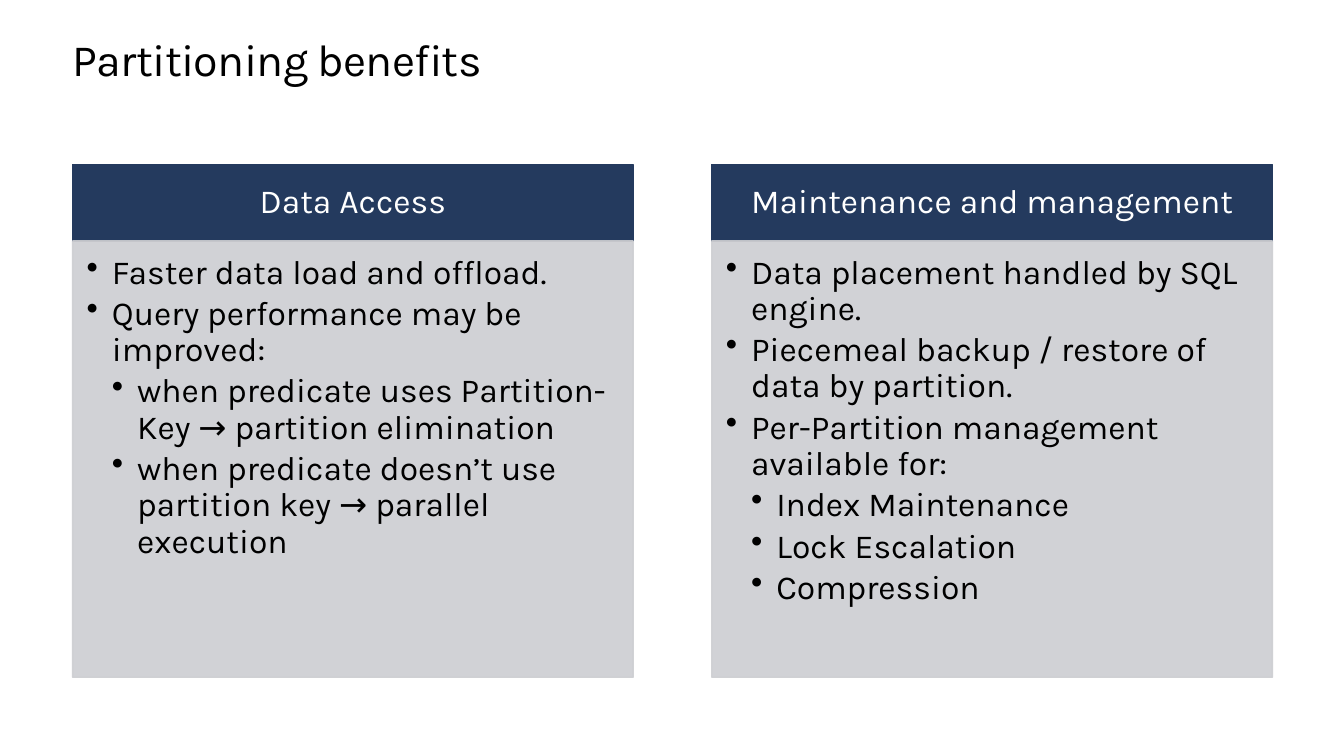
from dataclasses import dataclass

from lxml import etree
from pptx import Presentation
from pptx.dml.color import RGBColor
from pptx.enum.shapes import MSO_SHAPE
from pptx.enum.text import MSO_ANCHOR, MSO_AUTO_SIZE, PP_ALIGN
from pptx.oxml.ns import qn
from pptx.util import Inches, Pt

RECT = MSO_SHAPE.RECTANGLE
TOP, MIDDLE = MSO_ANCHOR.TOP, MSO_ANCHOR.MIDDLE
LEFT, CENTER = PP_ALIGN.LEFT, PP_ALIGN.CENTER
FIT_SHAPE = MSO_AUTO_SIZE.SHAPE_TO_FIT_TEXT

FONT = "Karla"
BLACK, WHITE, NAVY, GREY = "000000", "FFFFFF", "243A5E", "CDCED2"
MARGIN, COLUMN_W, COLUMN_STEP = 0.72, 5.56, 6.34
HEADER_Y, HEADER_H, BODY_H = 1.63, 0.76, 4.33
INDENT = 0.25


@dataclass
class Bullet:
    text: str
    level: int = 1


@dataclass
class Column:
    heading: str
    bullets: list[Bullet]


COLUMNS = [
    Column("Data Access", [
        Bullet("Faster data load and offload."),
        Bullet("Query performance may be improved:"),
        Bullet("when predicate uses Partition-Key → partition elimination", 2),
        Bullet("when predicate doesn’t use partition key → parallel execution", 2),
    ]),
    Column("Maintenance and management", [
        Bullet("Data placement handled by SQL engine."),
        Bullet("Piecemeal backup / restore of data by partition."),
        Bullet("Per-Partition management available for:"),
        Bullet("Index Maintenance", 2),
        Bullet("Lock Escalation", 2),
        Bullet("Compression", 2),
    ]),
]


def rgb(color: str) -> RGBColor:
    return RGBColor.from_string(color)


def set_frame(tf, insets: tuple, anchor) -> None:
    tf.word_wrap = True
    tf.vertical_anchor = anchor
    tf.margin_left, tf.margin_top, tf.margin_right, tf.margin_bottom = map(Inches, insets)


def write(p, text: str, *, size=24, color=BLACK, align=LEFT, spacing=0.9, after=0.0, level=0):
    """Fill one paragraph; a level above 0 gives it a bullet."""
    p.alignment = align
    p.line_spacing = spacing
    p.space_before, p.space_after = Pt(0), Pt(after)
    if level:
        p.level = level
        pPr = p._p.get_or_add_pPr()
        pPr.set("marL", str(Inches(INDENT * level)))
        pPr.set("indent", str(-Inches(INDENT)))
        etree.SubElement(pPr, qn("a:buChar")).set("char", "•")
    r = p.add_run()
    r.text = text
    r.font.name, r.font.size = FONT, Pt(size)
    r.font.color.rgb = rgb(color)
    return r


def add_box(slide, x: float, y: float, h: float, color: str, opacity: int = 100):
    sp = slide.shapes.add_shape(RECT, Inches(x), Inches(y), Inches(COLUMN_W), Inches(h))
    sp.shadow.inherit = False
    sp.fill.solid()
    sp.fill.fore_color.rgb = rgb(color)
    sp.line.color.rgb = rgb(color)
    sp.line.width = Pt(1)
    if opacity < 100:
        for clr in sp._element.spPr.iter(qn("a:srgbClr")):
            etree.SubElement(clr, qn("a:alpha")).set("val", str(opacity * 1000))
    return sp


def add_title(slide, text: str) -> None:
    sp = slide.shapes.title
    sp.left, sp.top, sp.width, sp.height = map(Inches, (MARGIN, 0.35, 11.9, 0.5))
    sp.fill.solid()
    sp.fill.fore_color.rgb = rgb(WHITE)
    tf = sp.text_frame
    set_frame(tf, (0, 0, 0, 0), TOP)
    tf.auto_size = FIT_SHAPE
    r = write(tf.paragraphs[0], text, size=32, spacing=Pt(36.2))
    r._r.get_or_add_rPr().set("spc", "-50")


def add_column(slide, x: float, column: Column) -> None:
    # Heading bar
    sp = add_box(slide, x, HEADER_Y, HEADER_H, NAVY)
    set_frame(sp.text_frame, (0.19, 0.11, 0.19, 0.11), MIDDLE)
    write(sp.text_frame.paragraphs[0], column.heading, color=WHITE, align=CENTER)

    # Bulleted panel
    sp = add_box(slide, x, HEADER_Y + HEADER_H, BODY_H, GREY, opacity=90)
    tf = sp.text_frame
    set_frame(tf, (0.14, 0.14, 0.19, 0.21), TOP)
    for i, bullet in enumerate(column.bullets):
        p = tf.add_paragraph() if i else tf.paragraphs[0]
        write(p, bullet.text, after=3.6, level=bullet.level)


def main() -> None:
    prs = Presentation()
    prs.slide_width, prs.slide_height = Inches(13.33), Inches(7.5)
    slide = prs.slides.add_slide(prs.slide_layouts.get_by_name("Title Only"))
    add_title(slide, "Partitioning benefits")
    for i, column in enumerate(COLUMNS):
        add_column(slide, MARGIN + i * COLUMN_STEP, column)
    prs.save("out.pptx")


if __name__ == "__main__":
    main()
